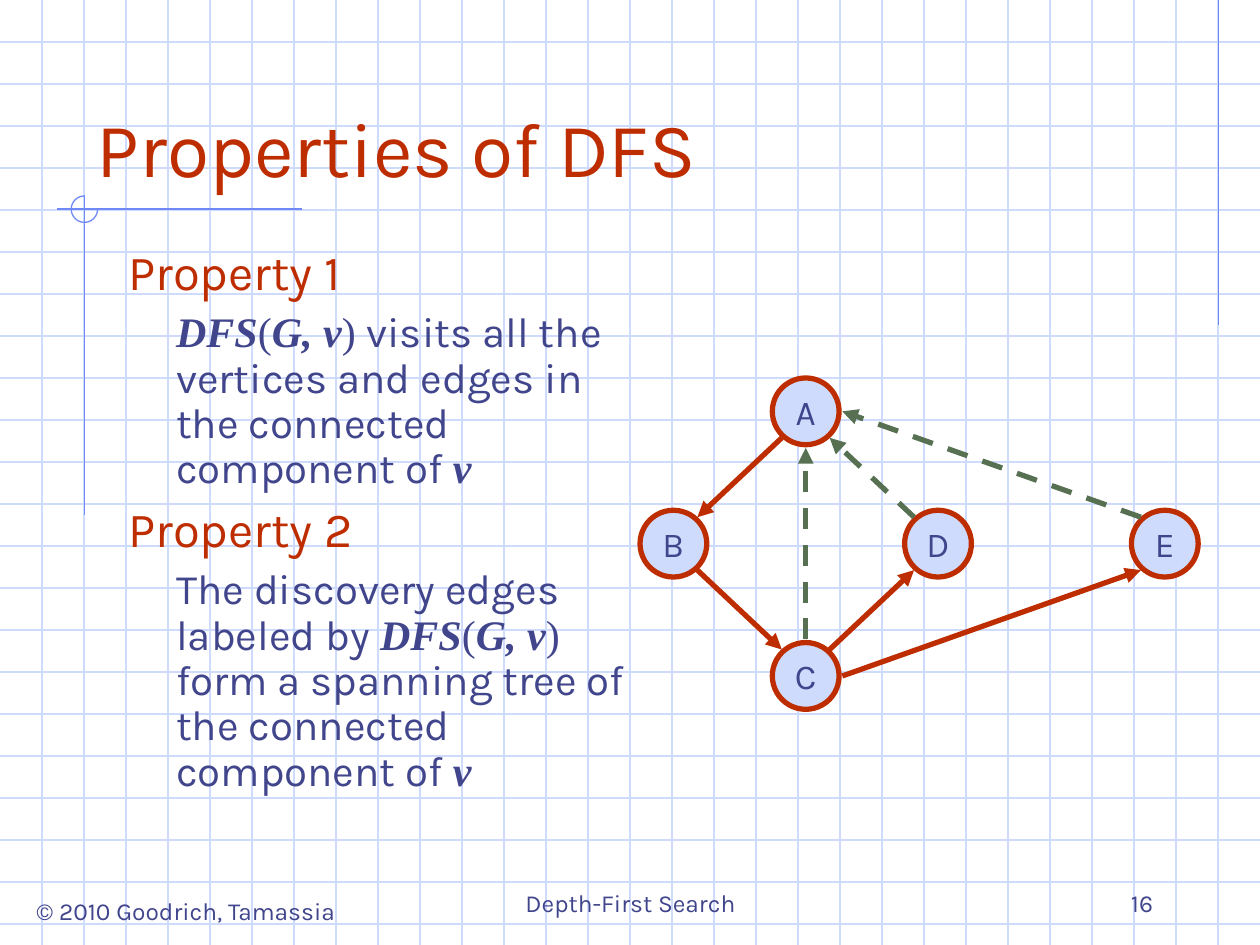
from pptx import Presentation
from pptx.dml.color import RGBColor
from pptx.enum import dml, shapes, text
from pptx.oxml.ns import qn
from pptx.util import Inches, Pt
from lxml import etree

RED, NAVY, GREEN = "BE2D00", "40458C", "577052"
PALE, BLUE = "CFDBFD", "6F89F7"
SANS, SERIF = "Karla", "Times New Roman"


def colour(value):
    return RGBColor.from_string(value)


def set_font(font, size, value, name=SANS):
    font.size = Pt(size)
    font.name = name
    font.color.rgb = colour(value)


def add_line(slide, start, end, value, width=0.75, dashed=False, arrow=False):
    line = slide.shapes.add_connector(
        shapes.MSO_CONNECTOR.STRAIGHT, *(Inches(n) for n in (*start, *end)))
    line.line.color.rgb = colour(value)
    line.line.width = Pt(width)
    if dashed:
        line.line.dash_style = dml.MSO_LINE.DASH
    if arrow:
        etree.SubElement(line.line._get_or_add_ln(), qn("a:tailEnd"), type="triangle")
    etree.SubElement(line._element.spPr, qn("a:effectLst"))


def add_frame(slide, box, anchor=text.MSO_ANCHOR.TOP, wrap=True):
    frame = slide.shapes.add_textbox(*(Inches(n) for n in box)).text_frame
    frame.word_wrap = wrap
    frame.vertical_anchor = anchor
    return frame


def add_label(slide, box, words, size, value, align, anchor, wrap=True):
    label = add_frame(slide, box, anchor, wrap).paragraphs[0]
    label.text = words
    label.alignment = align
    set_font(label.font, size, value)


def add_grid(slide, box, step):
    left, top, width, height = box
    for row in range(1, int(height / step) + 1):
        y = top + row * step
        add_line(slide, (left, y), (left + width, y), PALE)
    for column in range(1, int(width / step)):
        x = left + column * step
        add_line(slide, (x, top), (x, top + height), PALE)


def add_ornament(slide, box):
    left, top, width, height = box
    x, y, radius = left + 0.22, top + 0.11, 0.105
    add_line(slide, (left + width, y), (left, y), BLUE)
    add_line(slide, (x, top), (x, top + height), BLUE)
    arc = slide.shapes.add_shape(
        shapes.MSO_SHAPE.ARC, Inches(x - radius), Inches(y - radius),
        Inches(2 * radius), Inches(2 * radius))
    arc.adjustments[0] = 0
    arc.adjustments[1] = 162
    arc.fill.background()
    arc.line.color.rgb = colour(BLUE)
    arc.line.width = Pt(0.75)
    arc.shadow.inherit = False


def add_properties(slide, box, properties):
    frame = add_frame(slide, box)
    paragraph = frame.paragraphs[0]
    for number, (heading, statement) in enumerate(properties):
        if number:
            paragraph = frame.add_paragraph()
        paragraph.text = heading
        paragraph.line_spacing = 0.9
        paragraph.space_before = Pt(7)
        set_font(paragraph.font, 28, RED)

        paragraph = frame.add_paragraph()
        paragraph.line_spacing = 0.9
        paragraph.space_before = Pt(6)
        paragraph._p.get_or_add_pPr().set("marL", str(Inches(0.38)))
        for words, style in statement:
            run = paragraph.add_run()
            run.text = words
            set_font(run.font, 24, NAVY, SANS if style == "plain" else SERIF)
            run.font.bold = run.font.italic = style == "symbol"


def add_graph(slide, box, nodes, edges):
    left, top = box[:2]
    diameter = 0.53
    for name, (x, y) in nodes.items():
        node = slide.shapes.add_shape(
            shapes.MSO_SHAPE.OVAL, Inches(left + x), Inches(top + y),
            Inches(diameter), Inches(diameter))
        node.fill.solid()
        node.fill.fore_color.rgb = colour(PALE)
        node.line.color.rgb = colour(RED)
        node.line.width = Pt(3)
        node.shadow.inherit = False
        frame = node.text_frame
        frame.word_wrap = False
        frame.vertical_anchor = text.MSO_ANCHOR.MIDDLE
        label = frame.paragraphs[0]
        label.text = name
        label.alignment = text.PP_ALIGN.CENTER
        set_font(label.font, 20, NAVY)

    def rim(name, side):
        x, y = nodes[name]
        reach = (0.19, 0.21) if all(side) else (0.29, 0.29)
        return (left + x + diameter / 2 + side[0] * reach[0],
                top + y + diameter / 2 + side[1] * reach[1])

    for source, source_side, target, target_side, discovery in edges:
        add_line(slide, rim(source, source_side), rim(target, target_side),
                 RED if discovery else GREEN, 3, dashed=not discovery, arrow=True)


def main():
    deck = Presentation()
    deck.slide_width, deck.slide_height = Inches(10), Inches(7.5)
    slide = deck.slides.add_slide(deck.slide_layouts[6])
    align, anchor = text.PP_ALIGN, text.MSO_ANCHOR

    add_grid(slide, (0, 0, 10, 7.5), 1 / 3)
    add_line(slide, (9.67, 0), (9.67, 2.58), BLUE)
    add_ornament(slide, (0.45, 1.55, 1.95, 2.54))

    add_label(slide, (0.12, 7.06, 2.71, 0.34), "© 2010 Goodrich, Tamassia",
              14, NAVY, align.CENTER, anchor.TOP, wrap=False)
    add_label(slide, (3.42, 6.83, 3.17, 0.5), "Depth-First Search",
              14, NAVY, align.CENTER, anchor.BOTTOM)
    add_label(slide, (7.17, 6.83, 2.08, 0.5), "16",
              14, NAVY, align.RIGHT, anchor.BOTTOM)
    add_label(slide, (0.67, 0.33, 8.5, 1.25), "Properties of DFS",
              44, RED, align.LEFT, anchor.BOTTOM)

    call = [("DFS", "symbol"), ("(", "serif"), ("G, v", "symbol"), (") ", "serif")]
    vertex = ("v", "symbol")
    add_properties(slide, (0.92, 1.92, 4.17, 4.5), [
        ("Property 1", [
            *call,
            ("visits all the vertices and edges in the connected component of ", "plain"),
            vertex]),
        ("Property 2", [
            ("The discovery edges labeled by ", "plain"),
            *call,
            ("form a spanning tree of the connected component of ", "plain"),
            vertex]),
    ])

    nodes = {"A": (1.05, 0), "B": (0, 1.05), "C": (1.05, 2.1),
             "D": (2.1, 1.05), "E": (3.9, 1.05)}
    edges = [
        ("A", (-1, 1), "B", (1, -1), True),
        ("B", (1, 1), "C", (-1, -1), True),
        ("C", (1, -1), "D", (-1, 1), True),
        ("D", (-1, -1), "A", (1, 1), False),
        ("C", (0, -1), "A", (0, 1), False),
        ("C", (1, 0), "E", (-1, 1), True),
        ("E", (-1, -1), "A", (1, 0), False),
    ]
    add_graph(slide, (5.08, 3, 4.43, 2.63), nodes, edges)

    deck.save("out.pptx")


if __name__ == "__main__":
    main()
